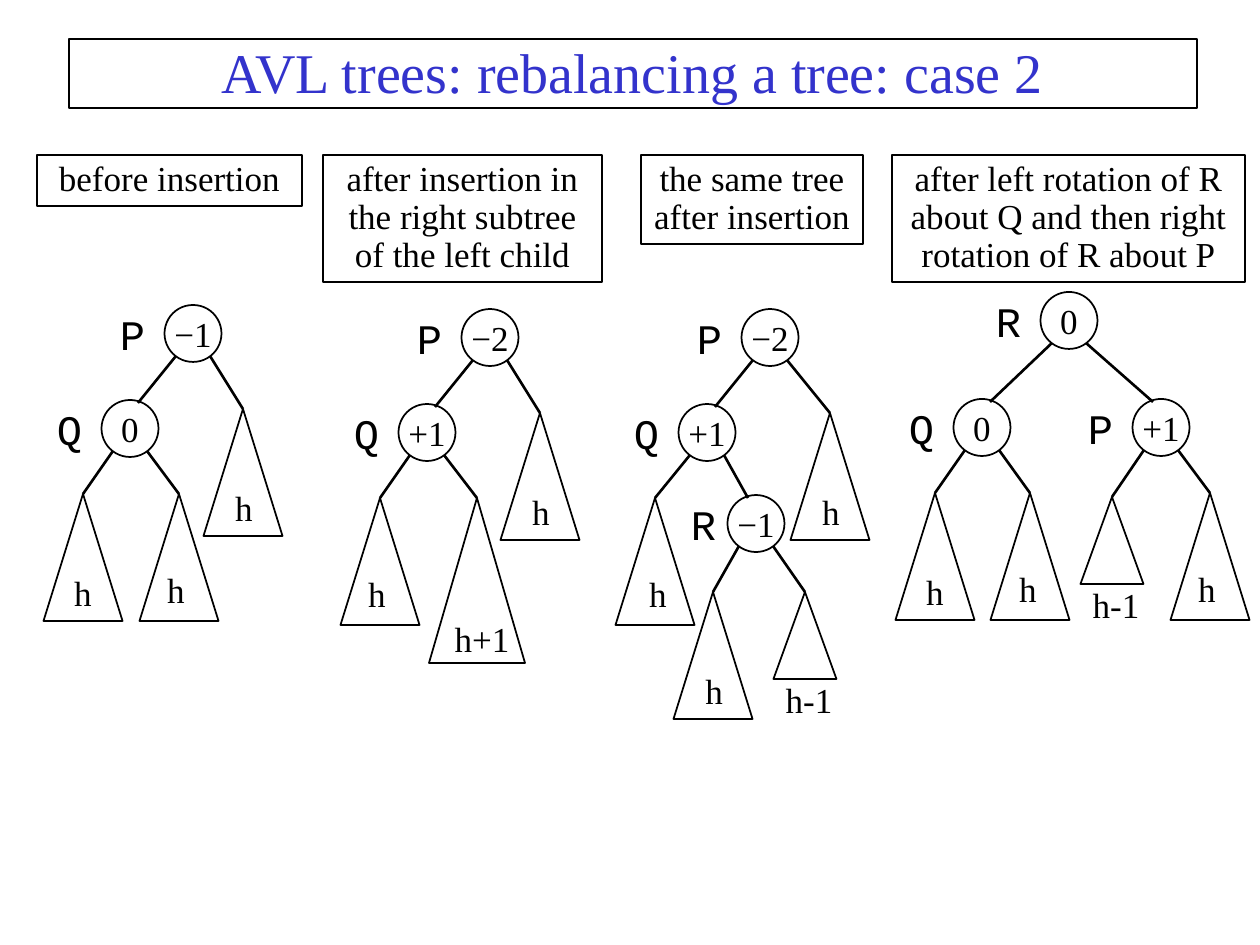
from dataclasses import dataclass

from lxml import etree
from pptx import Presentation
from pptx.dml.color import RGBColor
from pptx.enum.shapes import MSO_CONNECTOR, MSO_SHAPE
from pptx.enum.text import MSO_ANCHOR, MSO_AUTO_SIZE, PP_ALIGN
from pptx.oxml.ns import qn
from pptx.util import Emu, Inches, Pt

RECTANGLE = MSO_SHAPE.RECTANGLE
ELLIPSE = MSO_SHAPE.OVAL
TRIANGLE = MSO_SHAPE.ISOSCELES_TRIANGLE
STRAIGHT = MSO_CONNECTOR.STRAIGHT
CENTER = PP_ALIGN.CENTER
TOP, MIDDLE = MSO_ANCHOR.TOP, MSO_ANCHOR.MIDDLE
NO_AUTOFIT = MSO_AUTO_SIZE.NONE
TITLE_ONLY = 5

PX_PER_INCH = 126
NODE_SIZE = 57
LABEL_WIDTH = 86
# subtree kind: width, height, label top relative to the triangle's bottom
SUBTREES = {"h": (79, 127, -57), "h+1": (96, 165, -53), "h-1": (63, 87, -8)}


def px(length):
    return Emu(round(length * Inches(1) / PX_PER_INCH))


def color(hex_text):
    return RGBColor.from_string(hex_text)


@dataclass
class Subtree:
    """A triangle given by its apex; dx and dy shift its label."""
    x: int
    y: int
    kind: str = "h"
    dx: int = 0
    dy: int = 0


@dataclass
class Node:
    """A circle given by the middle of its top, with its two children."""
    name: str
    balance: str
    x: int
    y: int
    left: object
    right: object
    name_gap: int = 75


class TreeSlide:
    serif, mono = "Times New Roman", "Courier New"
    ink, title_ink = "000000", "3333CC"

    def __init__(self, presentation):
        self.slide = presentation.slides.add_slide(presentation.slide_layouts[TITLE_ONLY])

    def set_text(self, shape, text, size=20, font=None, ink=None, anchor=MIDDLE, spacing=None):
        frame = shape.text_frame
        frame.text = text
        frame.word_wrap = True
        frame.auto_size = NO_AUTOFIT
        frame.vertical_anchor = anchor
        paragraph = frame.paragraphs[0]
        paragraph.alignment = CENTER
        paragraph.line_spacing = spacing
        paragraph.font.size = Pt(size)
        paragraph.font.name = font or self.serif
        paragraph.font.color.rgb = color(ink or self.ink)
        return frame

    def outline(self, shape):
        shape.fill.background()
        shape.line.color.rgb = color(self.ink)
        shape.line.width = Pt(1)

    def title(self, text, x, y, width, height):
        title = self.slide.shapes.title
        title.left, title.top, title.width, title.height = map(px, (x, y, width, height))
        self.outline(title)
        self.set_text(title, text, 32, ink=self.title_ink, anchor=TOP, spacing=0.9)

    def outlined_shape(self, kind, x, y, width, height):
        shape = self.slide.shapes.add_shape(kind, *map(px, (x, y, width, height)))
        shape.shadow.inherit = False
        self.outline(shape)
        return shape

    def caption(self, text, x, y, width, height):
        box = self.outlined_shape(RECTANGLE, x, y, width, height)
        self.set_text(box, text, anchor=TOP, spacing=0.9)

    def label(self, text, x, y, **style):
        box = self.slide.shapes.add_textbox(*map(px, (x, y, LABEL_WIDTH, NODE_SIZE)))
        self.set_text(box, text, **style)

    def edge(self, parent, child, side):
        """Join a node to a child; side is -1 for left and 1 for right."""
        end_x, end_y = child.x, child.y
        if isinstance(child, Node):
            end_x, end_y = child.x - 8 * side, child.y + 3
        start = (parent.x + 17 * side, parent.y + NODE_SIZE // 2 + 23)
        line = self.slide.shapes.add_connector(STRAIGHT, *map(px, (*start, end_x, end_y)))
        line.line.color.rgb = color(self.ink)
        line.line.width = Pt(1.5)
        etree.SubElement(line._element.spPr, qn("a:effectLst"))

    def subtree(self, leaf):
        width, height, label_offset = SUBTREES[leaf.kind]
        self.outlined_shape(TRIANGLE, leaf.x - width / 2, leaf.y, width, height)
        self.label(leaf.kind, leaf.x - LABEL_WIDTH / 2 + leaf.dx,
                   leaf.y + height + label_offset + leaf.dy)

    def tree(self, root):
        if isinstance(root, Subtree):
            self.subtree(root)
            return
        for child, side in ((root.left, -1), (root.right, 1)):
            self.edge(root, child, side)
            self.tree(child)
        left = root.x - NODE_SIZE / 2
        circle = self.outlined_shape(ELLIPSE, left, root.y, NODE_SIZE, NODE_SIZE)
        frame = self.set_text(circle, root.balance)
        frame.word_wrap = False
        frame.margin_left = frame.margin_right = 0
        frame.margin_top = frame.margin_bottom = 0
        self.label(root.name, left - root.name_gap, root.y, size=24, font=self.mono)


CAPTIONS = [
    ("before insertion", 37, 265, 51),
    ("after insertion in the right subtree of the left child", 323, 279, 127),
    ("the same tree after insertion", 641, 222, 89),
    ("after left rotation of R about Q and then right rotation of R about P", 892, 353, 127),
]

TREES = [
    Node("P", "−1", 193, 305,
         Node("Q", "0", 130, 400, Subtree(83, 494), Subtree(179, 494, dx=-3, dy=-3)),
         Subtree(243, 409, dx=1)),
    Node("P", "−2", 490, 309,
         Node("Q", "+1", 427, 404,
              Subtree(380, 498, dx=-3, dy=-3), Subtree(477, 498, "h+1", dx=5)),
         Subtree(540, 413, dx=1)),
    Node("P", "−2", 770, 309,
         Node("Q", "+1", 707, 404,
              Subtree(655, 498, dx=3, dy=-3),
              Node("R", "−1", 756, 495,
                   Subtree(713, 592, dx=1), Subtree(805, 592, "h-1", dx=4), name_gap=67)),
         Subtree(830, 413, dx=1)),
    Node("R", "0", 1069, 292,
         Node("Q", "0", 982, 399, Subtree(935, 493), Subtree(1030, 493, dx=-2, dy=-3)),
         Node("P", "+1", 1161, 399,
              Subtree(1112, 497, "h-1", dx=4), Subtree(1210, 493, dx=-3, dy=-3))),
]


def main():
    presentation = Presentation()
    presentation.slide_width, presentation.slide_height = Inches(10), Inches(7.5)
    slide = TreeSlide(presentation)
    slide.title("AVL trees: rebalancing a tree: case 2", 69, 39, 1128, 69)
    for text, x, width, height in CAPTIONS:
        slide.caption(text, x, 155, width, height)
    for root in TREES:
        slide.tree(root)
    presentation.save("out.pptx")


if __name__ == "__main__":
    main()
